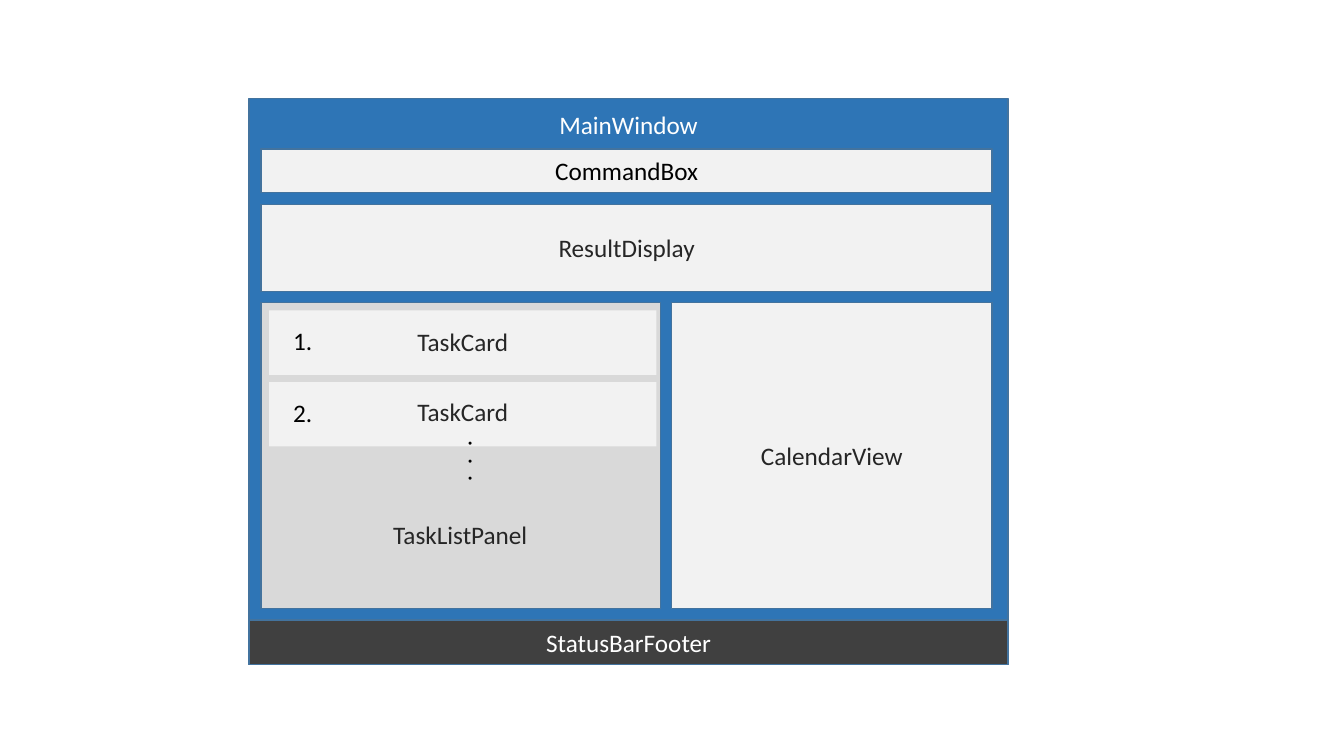
from collections import namedtuple

from pptx import Presentation
from pptx.dml.color import RGBColor
from pptx.enum.shapes import MSO_SHAPE
from pptx.enum.text import MSO_ANCHOR, PP_ALIGN
from pptx.util import Inches, Pt

RECTANGLE = MSO_SHAPE.RECTANGLE
MIDDLE, TOP = MSO_ANCHOR.MIDDLE, MSO_ANCHOR.TOP
CENTER, LEFT = PP_ALIGN.CENTER, PP_ALIGN.LEFT

BLUE = RGBColor(0x2E, 0x75, 0xB6)
EDGE = RGBColor(0x43, 0x73, 0x9E)
CHARCOAL = RGBColor(0x40, 0x40, 0x40)
PALE = RGBColor(0xF2, 0xF2, 0xF2)
GRAY = RGBColor(0xD9, 0xD9, 0xD9)
INK = RGBColor(0x26, 0x26, 0x26)
BLACK = RGBColor(0x00, 0x00, 0x00)
WHITE = RGBColor(0xFF, 0xFF, 0xFF)

FONT = "Calibri"
FONT_SIZE = Pt(18)
LABEL_HEIGHT = 0.4
MARGIN = 0.12
COLUMN_GAP = 0.11

Box = namedtuple("Box", "left top width height")


def inside(box, left, top, width, height):
    return Box(box.left + left, box.top + top, width, height)


def write(shape, text, color, align, anchor):
    frame = shape.text_frame
    frame.word_wrap = True
    frame.vertical_anchor = anchor
    frame.text = text
    para = frame.paragraphs[0]
    para.alignment = align
    font = para.runs[0].font
    font.name = FONT
    font.size = FONT_SIZE
    font.color.rgb = color


def add_panel(page, box, fill, text="", color=INK, outlined=True):
    panel = page.shapes.add_shape(RECTANGLE, *map(Inches, box))
    panel.shadow.inherit = False
    panel.fill.solid()
    panel.fill.fore_color.rgb = fill
    if outlined:
        panel.line.color.rgb = EDGE
        panel.line.width = Pt(1)
    else:
        panel.line.fill.background()
    if text:
        write(panel, text, color, CENTER, MIDDLE)


def add_label(page, box, text, color=INK, align=CENTER):
    label = page.shapes.add_textbox(*map(Inches, box))
    write(label, text, color, align, TOP)
    return label


def add_vertical_dots(page, box):
    dots = add_label(page, box, ". . .", BLACK, LEFT)
    dots.text_frame._txBody.bodyPr.set("vert", "eaVert")
    span = dots.text_frame.paragraphs[0].runs[0]
    span.font._element.set("spc", "200")


def add_task_card(page, box, number, label_top):
    add_panel(page, box, PALE, outlined=False)
    add_label(page, inside(box, 0, label_top, box.width, LABEL_HEIGHT), "TaskCard")
    add_label(page, inside(box, 0.14, 0.1, 0.47, LABEL_HEIGHT),
              f"{number}.", BLACK, LEFT)


def add_task_list(page, box):
    card_inset, card_height, card_pitch = 0.08, 0.64, 0.71
    card_width = box.width - 0.12
    add_panel(page, box, GRAY)
    for index, label_top in enumerate((0.11, 0.09)):
        card = inside(box, card_inset, card_inset + index * card_pitch,
                      card_width, card_height)
        add_task_card(page, card, index + 1, label_top)
    add_label(page, inside(box, card_inset, 2.1, 3.79, LABEL_HEIGHT), "TaskListPanel")
    add_vertical_dots(page, inside(box, 1.86, 1.27, 0.5, 0.92))


def add_main_window(page, box):
    footer_height, body_height = 0.44, 3.04
    content_width, list_width = 7.25, 3.96
    calendar_left = MARGIN + list_width + COLUMN_GAP
    body_top = 2.02

    add_panel(page, box, BLUE)
    add_label(page, inside(box, 0, 0.06, box.width, LABEL_HEIGHT), "MainWindow", WHITE)
    add_panel(page, inside(box, 0, box.height - footer_height, box.width, footer_height),
              CHARCOAL, "StatusBarFooter", WHITE)
    add_panel(page, inside(box, MARGIN, 0.5, content_width, 0.43),
              PALE, "CommandBox", BLACK)
    add_panel(page, inside(box, MARGIN, 1.05, content_width, 0.86),
              PALE, "ResultDisplay")
    add_task_list(page, inside(box, MARGIN, body_top, list_width, body_height))
    add_panel(page, inside(box, calendar_left, body_top,
                           MARGIN + content_width - calendar_left, body_height),
              PALE, "CalendarView")


def main():
    deck = Presentation()
    deck.slide_width = Inches(13.33)
    deck.slide_height = Inches(7.5)
    page = deck.slides.add_slide(deck.slide_layouts[6])
    add_main_window(page, Box(2.47, 0.98, 7.53, 5.61))
    deck.save("out.pptx")


if __name__ == "__main__":
    main()
